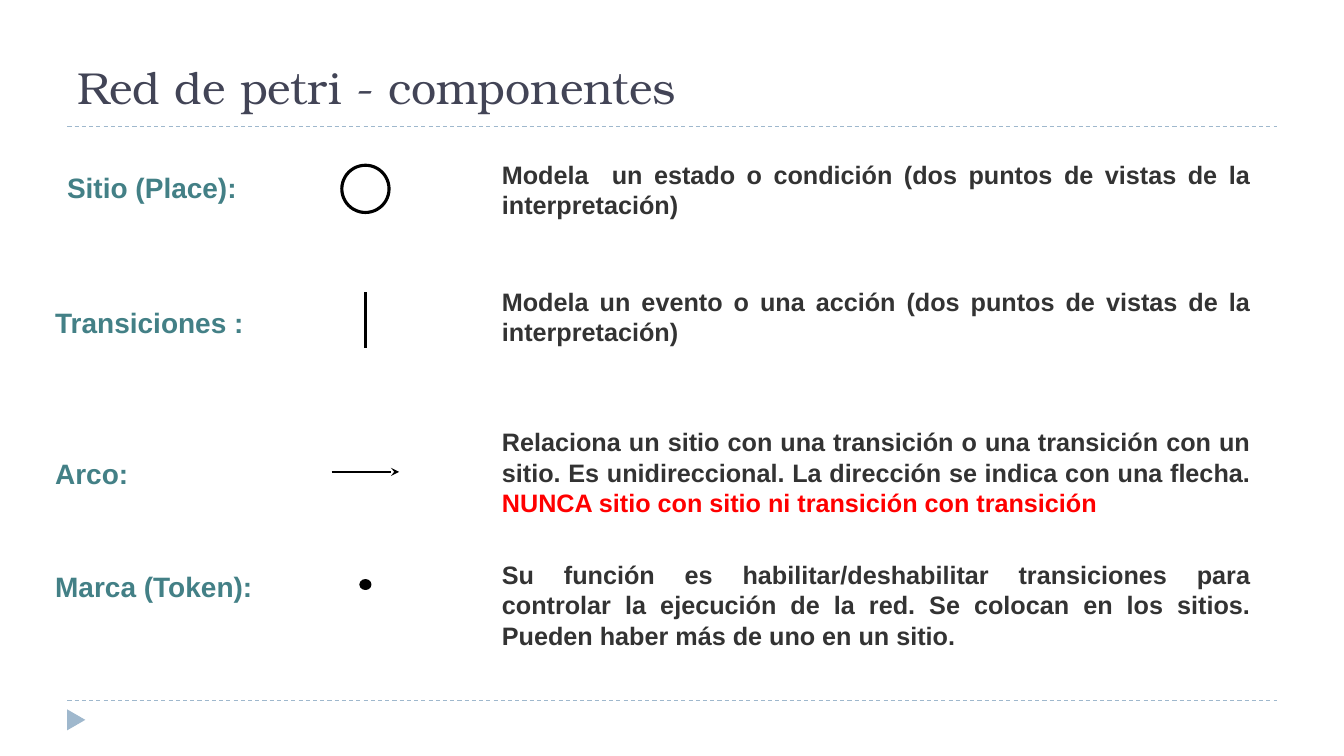
from dataclasses import dataclass

from lxml import etree
from pptx import Presentation
from pptx.dml.color import RGBColor
from pptx.enum.dml import MSO_LINE
from pptx.enum.shapes import MSO_CONNECTOR, MSO_SHAPE
from pptx.enum.text import MSO_ANCHOR, PP_ALIGN
from pptx.oxml.ns import qn
from pptx.util import Cm, Pt

DASH = MSO_LINE.DASH
STRAIGHT = MSO_CONNECTOR.STRAIGHT
OVAL, TRIANGLE = MSO_SHAPE.OVAL, MSO_SHAPE.ISOSCELES_TRIANGLE
TOP, MIDDLE = MSO_ANCHOR.TOP, MSO_ANCHOR.MIDDLE
LEFT, JUSTIFY = PP_ALIGN.LEFT, PP_ALIGN.JUSTIFY


@dataclass(frozen=True)
class Theme:
    title_font: str = "TeX Gyre Bonum"
    body_font: str = "Arial"
    title_size: float = 32
    label_size: float = 20
    body_size: float = 18
    body_leading: float = 21.6
    title: str = "424456"
    label: str = "438086"
    body: str = "333333"
    warning: str = "FF0000"
    rule: str = "9FB8CD"
    ink: str = "000000"


T = Theme()


def rgb(value):
    return RGBColor.from_string(value)


def add_run(p, text, font, size, color, bold):
    r = p.add_run()
    r.text = text
    r.font.name = font
    r.font.size = Pt(size)
    r.font.bold = bold
    r.font.color.rgb = rgb(color)


def add_text(s, x, y, w, h, runs, size, anchor, align, leading=None):
    tf = s.shapes.add_textbox(Cm(x), Cm(y), Cm(w), Cm(h)).text_frame
    tf.word_wrap = True
    tf.vertical_anchor = anchor
    tf.margin_left = tf.margin_right = tf.margin_top = tf.margin_bottom = 0
    p = tf.paragraphs[0]
    p.alignment = align
    if leading:
        p.line_spacing = Pt(leading)
    for text, color in runs:
        add_run(p, text, T.body_font, size, color, True)


def add_line(s, x1, y1, x2, y2, color, width):
    line = s.shapes.add_connector(STRAIGHT, Cm(x1), Cm(y1), Cm(x2), Cm(y2))
    line.line.color.rgb = rgb(color)
    line.line.width = Pt(width)
    etree.SubElement(line._element.spPr, qn("a:effectLst"))
    return line


def add_shape(s, kind, cx, cy, w, h, fill=None, line=None, width=0.75):
    sp = s.shapes.add_shape(kind, Cm(cx - w / 2), Cm(cy - h / 2), Cm(w), Cm(h))
    sp.shadow.inherit = False
    if fill:
        sp.fill.solid()
        sp.fill.fore_color.rgb = rgb(fill)
    else:
        sp.fill.background()
    if line:
        sp.line.color.rgb = rgb(line)
        sp.line.width = Pt(width)
    else:
        sp.line.fill.background()
    return sp


def draw_place(s, cx, cy):
    add_shape(s, OVAL, cx, cy, 1.19, 1.19, line=T.ink, width=2.25)


def draw_transition(s, cx, cy):
    add_line(s, cx, cy - 0.7, cx, cy + 0.7, T.ink, 2)


def draw_arc(s, cx, cy):
    arc = add_line(s, cx - 0.85, cy, cx + 0.85, cy, T.ink, 1.5)
    etree.SubElement(arc.line._get_or_add_ln(), qn("a:tailEnd"), type="stealth")


def draw_token(s, cx, cy):
    add_shape(s, OVAL, cx, cy, 0.28, 0.25, fill=T.ink, line=T.ink)


def build_frame(s, x, y, w, h):
    for rule_y in (y, y + h):
        add_line(s, x, rule_y, x + w, rule_y, T.rule, 0.75).line.dash_style = DASH
    marker = add_shape(s, TRIANGLE, x + 0.22, y + h + 0.49, 0.53, 0.46, fill=T.rule)
    marker.rotation = 90


def build_title(s, x, y, w, h, text):
    sp = s.shapes.title
    sp.left, sp.top, sp.width, sp.height = Cm(x), Cm(y), Cm(w), Cm(h)
    tf = sp.text_frame
    tf.word_wrap = True
    tf.vertical_anchor = MIDDLE
    p = tf.paragraphs[0]
    p.alignment = LEFT
    add_run(p, text, T.title_font, T.title_size, T.title, False)


def build_component(s, x, y, w, h, label, indent, label_dy, draw, symbol_dy, runs):
    add_text(s, x + indent, y + label_dy - 0.45, 6.2, 0.9,
             [(label, T.label)], T.label_size, MIDDLE, LEFT)
    draw(s, x + 7.82, y + symbol_dy)
    text_x = 11.26
    add_text(s, x + text_x, y, w - text_x, h, runs,
             T.body_size, TOP, JUSTIFY, T.body_leading)


def main():
    prs = Presentation()
    prs.slide_width, prs.slide_height = Cm(33.87), Cm(19.05)
    s = prs.slides.add_slide(prs.slide_layouts[5])
    build_frame(s, 1.7, 3.18, 30.48, 14.47)
    build_title(s, 1.7, 1.19, 30.48, 1.98, "Red de petri - componentes")
    components = [
        (4.02, 1.6, "Sitio (Place):", 0.3, 0.69, draw_place, 0.74,
         [("Modela  un estado o condición (dos puntos de vistas de la "
           "interpretación)", T.body)]),
        (7.22, 1.6, "Transiciones :", 0, 0.91, draw_transition, 0.84,
         [("Modela un evento o una acción (dos puntos de vistas de la "
           "interpretación)", T.body)]),
        (10.75, 2.3, "Arco:", 0, 1.17, draw_arc, 1.14,
         [("Relaciona un sitio con una transición o una transición con un "
           "sitio. Es unidireccional. La dirección se indica con una flecha. ",
           T.body),
          ("NUNCA sitio con sitio ni transición con transición", T.warning)]),
        (14.1, 2.3, "Marca (Token):", 0, 0.68, draw_token, 0.63,
         [("Su función es habilitar/deshabilitar transiciones para controlar "
           "la ejecución de la red. Se colocan en los sitios. Pueden haber "
           "más de uno en un sitio.", T.body)]),
    ]
    for y, h, *parts in components:
        build_component(s, 1.39, y, 30.13, h, *parts)
    prs.save("out.pptx")


if __name__ == "__main__":
    main()
